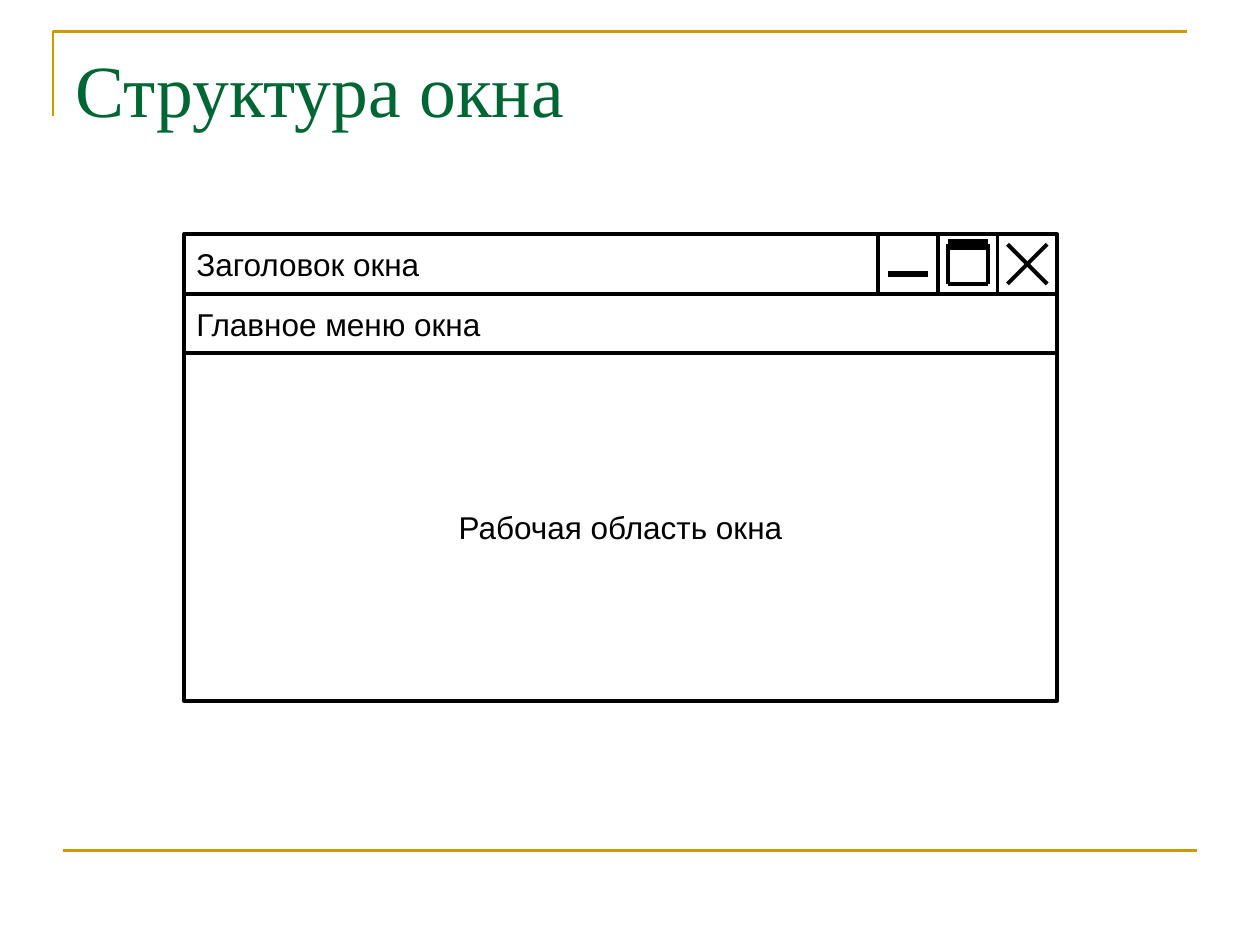
import pptx
import pptx.util
import pptx.dml.color
import pptx.enum.shapes
import pptx.enum.text
import pptx.oxml
from dataclasses import dataclass

Inch = pptx.util.Inches
Align = pptx.enum.text.PP_ALIGN
Anchor = pptx.enum.text.MSO_ANCHOR


@dataclass
class Theme:
    gold: str = "CC9900"
    green: str = "006633"
    black: str = "000000"
    serif: str = "Times New Roman"
    sans: str = "Arial"
    head: int = 42
    body: int = 18
    rule: float = 1.5
    thin: float = 2.25
    mid: float = 3
    thick: float = 6


class Board:
    left, top, step = 1.46, 1.86, 6.93 / 88

    def __init__(self, deck, theme):
        self.theme = theme
        self.slide = deck.slides.add_slide(deck.slide_layouts[5])
        self.shapes = self.slide.shapes

    def spot(self, col, row):
        return Inch(self.left + col * self.step), Inch(self.top + row * self.step)

    def color(self, name):
        return pptx.dml.color.RGBColor.from_string(name)

    def edge(self, shape, color, width):
        shape.line.color.rgb = self.color(color)
        shape.line.width = pptx.util.Pt(width)

    def label(self, shape, text, font, size, color, align, anchor):
        frame = shape.text_frame
        frame.text = text
        frame.word_wrap = True
        frame.vertical_anchor = anchor
        frame.margin_left = frame.margin_right = Inch(0.1)
        frame.margin_top = frame.margin_bottom = Inch(0.05)
        para = frame.paragraphs[0]
        para.alignment = align
        para.font.name = font
        para.font.size = pptx.util.Pt(size)
        para.font.color.rgb = self.color(color)

    def title(self, text):
        shape = self.shapes.title
        shape.left, shape.top = Inch(0.5), Inch(0.3)
        shape.width, shape.height = Inch(9), Inch(1.25)
        self.label(shape, text, self.theme.serif, self.theme.head,
                   self.theme.green, Align.LEFT, Anchor.TOP)

    def corner(self, *points):
        ends = [(Inch(x), Inch(y)) for x, y in points]
        form = self.shapes.build_freeform(*ends[0])
        form.add_line_segments(ends[1:], close=False)
        shape = form.convert_to_shape()
        shape.shadow.inherit = False
        shape.fill.background()
        self.edge(shape, self.theme.gold, self.theme.rule)

    def link(self, start, end, color, width):
        line = self.shapes.add_connector(
            pptx.enum.shapes.MSO_CONNECTOR.STRAIGHT, *start, *end)
        self.edge(line, color, width)
        line._element.spPr.append(pptx.oxml.parse_xml(
            '<a:effectLst xmlns:a="http://schemas.openxmlformats.org/drawingml/2006/main"/>'))

    def rule(self, x, y, end):
        self.link((Inch(x), Inch(y)), (Inch(end), Inch(y)),
                  self.theme.gold, self.theme.rule)

    def stroke(self, col, row, to_col, to_row, width):
        self.link(self.spot(col, row), self.spot(to_col, to_row),
                  self.theme.black, width)

    def box(self, col, row, cols, rows, text="", align=Align.LEFT):
        shape = self.shapes.add_shape(
            pptx.enum.shapes.MSO_SHAPE.RECTANGLE, *self.spot(col, row),
            Inch(cols * self.step), Inch(rows * self.step))
        shape.shadow.inherit = False
        shape.fill.background()
        self.edge(shape, self.theme.black, self.theme.thin)
        if text:
            self.label(shape, text, self.theme.sans, self.theme.body,
                       self.theme.black, align, Anchor.MIDDLE)


def main():
    deck = pptx.Presentation()
    deck.slide_width, deck.slide_height = Inch(10), Inch(7.5)
    theme = Theme()
    board = Board(deck, theme)

    board.corner((0.42, 0.92), (0.42, 0.25), (9.42, 0.25))
    board.rule(0.5, 6.75, 9.5)
    board.title("Структура окна")

    cell, wide = 6, 88
    small = wide - 3 * cell
    large, close = small + cell, small + 2 * cell
    board.box(0, 0, small, cell, "Заголовок окна")
    board.box(0, cell, wide, cell, "Главное меню окна")
    board.box(0, 2 * cell, wide, 35, "Рабочая область окна", Align.CENTER)
    for col in (small, large, close):
        board.box(col, 0, cell, cell)

    icons = [
        (small, 1, 4, 5, 4, theme.mid),
        (large, 1, 5, 5, 5, theme.thin),
        (large, 1, 1, 5, 1, theme.thick),
        (large, 1, 1, 1, 5, theme.thin),
        (large, 5, 1, 5, 5, theme.thin),
        (close, 1, 5, 5, 1, theme.thin),
        (close, 1, 1, 5, 5, theme.thin),
    ]
    for base, col, row, to_col, to_row, width in icons:
        board.stroke(base + col, row, base + to_col, to_row, width)

    deck.save("out.pptx")


if __name__ == "__main__":
    main()
